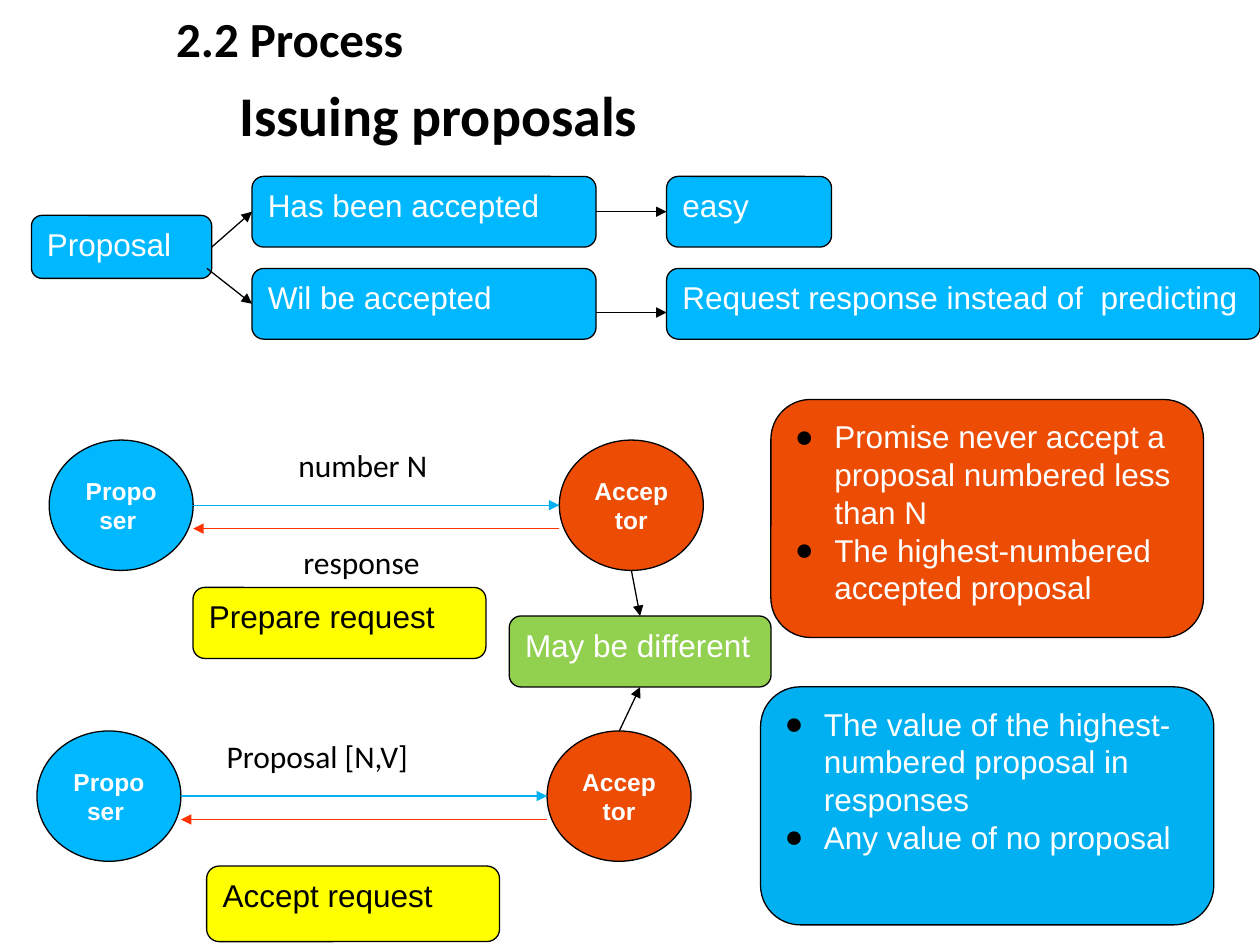
"""Build the slide on issuing proposals: two request rounds and their outcomes."""
from lxml.etree import SubElement
from pptx import Presentation
from pptx.dml.color import RGBColor
from pptx.enum.shapes import MSO_CONNECTOR, MSO_SHAPE
from pptx.enum.text import MSO_ANCHOR, PP_ALIGN
from pptx.oxml.ns import qn
from pptx.util import Pt

THEME = {
    "sky": "00B8FF", "blue": "00B0F0", "orange": "EC4C04", "red": "FF3300",
    "yellow": "FFFF00", "green": "92D050", "black": "000000", "white": "FFFFFF",
    "body": "Arial", "head": "Calibri",
    "title": 28, "topic": 32, "text": 18, "node": 14, "line": 0.75, "indent": 22.5,
}

HEADS = [
    ("2.2 Process", 93.6, 1.4, 173.5, 41, "title"),
    ("Issuing proposals", 129.6, 42.5, 345.6, 46, "topic"),
]
LABELS = [
    ("number N", 163.4, 251.3, 95, 28.8),
    ("response", 166.3, 306.7, 83.5, 28.8),
    ("Proposal [N,V]", 122.4, 417.6, 177.8, 28.8),
]
BOXES = [
    ("Proposal", 18, 123.1, 103, 36, "sky", "white"),
    ("Has been accepted", 144, 100.8, 196.6, 40.4, "sky", "white"),
    ("Wil be accepted", 144, 153.4, 196.6, 40.4, "sky", "white"),
    ("easy", 380.9, 100.8, 94.3, 40.4, "sky", "white"),
    ("Request response instead of  predicting", 380.9, 153.4, 339.1, 40.4, "sky", "white"),
    ("Prepare request", 110.3, 335.7, 167.4, 40.6, "yellow", "black"),
    ("Accept request", 118.1, 494.9, 167.4, 43.2, "yellow", "black"),
    ("May be different", 291, 352, 149.6, 40.6, "green", "white"),
]
NOTES = [
    (["Promise never accept a proposal numbered less than N",
      "The highest-numbered accepted proposal"], 440.5, 228.3, 247.2, 136, "orange"),
    (["The value of the highest-numbered proposal in responses",
      "Any value of no proposal"], 434.6, 392.5, 259, 136, "blue"),
]
ROUNDS = [(28.1, 251.5), (21.1, 417.7)]
ROLES = [("Proposer ", "sky"), ("Acceptor", "orange")]
NODE_W, NODE_H, STEP = 82.3, 74.5, 291.5
SEND, REPLY = 37.2, 50.6
ARROWS = [
    (340.6, 121, 380.9, 121), (340.6, 178.6, 380.9, 178.6),
    (121, 141.2, 144, 121), (118.3, 153.4, 144, 173.6),
    (360.8, 326, 365.8, 352), (353.9, 417.7, 365.8, 392.6),
]


def color(name):
    return RGBColor.from_string(THEME[name])


def write(shape, lines, font, size, ink, bold=False):
    frame = shape.text_frame
    frame.word_wrap = True
    frame.text = "\n".join(lines)
    for para in frame.paragraphs:
        para.alignment = PP_ALIGN.LEFT
        for run in para.runs:
            run.font.name = THEME[font]
            run.font.size = Pt(THEME[size])
            run.font.bold = bold
            run.font.color.rgb = color(ink)
    return frame


def label(slide, text, x, y, w, h, size="text", bold=False):
    box = slide.shapes.add_textbox(Pt(x), Pt(y), Pt(w), Pt(h))
    write(box, [text], "head", size, "black", bold)


def panel(slide, kind, x, y, w, h, fill):
    shape = slide.shapes.add_shape(kind, Pt(x), Pt(y), Pt(w), Pt(h))
    shape.shadow.inherit = False
    shape.fill.solid()
    shape.fill.fore_color.rgb = color(fill)
    shape.line.color.rgb = color("black")
    shape.line.width = Pt(THEME["line"])
    shape.text_frame.vertical_anchor = MSO_ANCHOR.TOP
    return shape


def node(slide, text, x, y, fill):
    shape = panel(slide, MSO_SHAPE.OVAL, x, y, NODE_W, NODE_H, fill)
    frame = write(shape, [text], "body", "node", "white", True)
    frame.vertical_anchor = MSO_ANCHOR.MIDDLE
    frame.paragraphs[0].alignment = PP_ALIGN.CENTER


def note(slide, lines, x, y, w, h, fill):
    shape = panel(slide, MSO_SHAPE.ROUNDED_RECTANGLE, x, y, w, h, fill)
    for para in write(shape, lines, "body", "text", "white").paragraphs:
        props = para._p.get_or_add_pPr()
        props.set("marL", str(Pt(THEME["indent"])))
        props.set("indent", str(-Pt(THEME["indent"])))
        tint = SubElement(props, qn("a:buClr"))
        SubElement(tint, qn("a:srgbClr"), val=THEME["black"])
        SubElement(props, qn("a:buFont"), typeface=THEME["body"])
        SubElement(props, qn("a:buChar"), char="●")


def arrow(slide, x1, y1, x2, y2, ink="black"):
    link = slide.shapes.add_connector(
        MSO_CONNECTOR.STRAIGHT, Pt(x1), Pt(y1), Pt(x2), Pt(y2))
    link.line.color.rgb = color(ink)
    link.line.width = Pt(THEME["line"])
    SubElement(link.line._get_or_add_ln(), qn("a:tailEnd"), type="triangle")
    SubElement(link._element.spPr, qn("a:effectLst"))


def main():
    deck = Presentation()
    deck.slide_width, deck.slide_height = Pt(720), Pt(540)
    slide = deck.slides.add_slide(deck.slide_layouts[6])
    for *spot, size in HEADS:
        label(slide, *spot, size, True)
    for text, *spot, fill, ink in BOXES:
        shape = panel(slide, MSO_SHAPE.ROUNDED_RECTANGLE, *spot, fill)
        write(shape, [text], "body", "text", ink)
    for item in NOTES:
        note(slide, *item)
    for x, y in ROUNDS:
        for i, (role, fill) in enumerate(ROLES):
            node(slide, role, x + i * STEP, y, fill)
        near, far = x + NODE_W, x + STEP
        arrow(slide, near, y + SEND, far, y + SEND, "blue")
        arrow(slide, far, y + REPLY, near, y + REPLY, "red")
    for item in LABELS:
        label(slide, *item)
    for ends in ARROWS:
        arrow(slide, *ends)
    deck.save("out.pptx")


if __name__ == "__main__":
    main()
